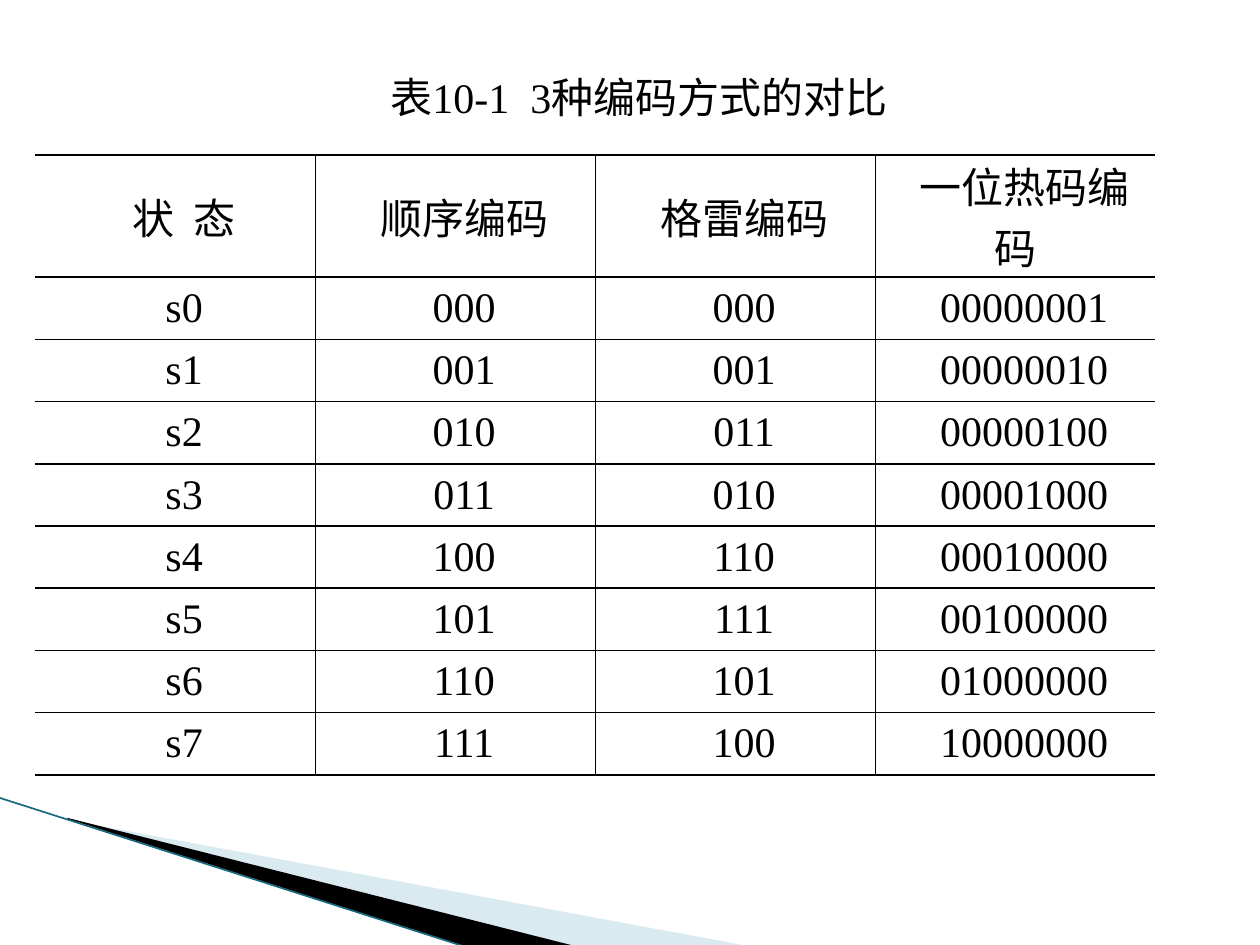
from pptx import Presentation
from pptx import util as u
from pptx.dml.color import RGBColor
from pptx.enum import shapes, text
from pptx.oxml.ns import qn
from lxml import etree

COLORS = {"ink": "000000", "pale": "A0CBDC", "edge": "16697F"}
FONT = {"name": "Times New Roman", "size": u.Pt(24), "bold": False}
TITLE = "表10-1  3种编码方式的对比"
HEADERS = ["状  态", "顺序编码", "格雷编码", "一位热码编码"]
STATES = 8
HEADER_HEIGHT = 0.97
THIN, THICK = 1, 1.5


def color(name):
    return RGBColor.from_string(COLORS[name])


def apply(target, values):
    for name, value in values.items():
        setattr(target, name, value)


def write(frame, words):
    """Centred line in the common font, with a first-line indent."""
    para = frame.paragraphs[0]
    para.alignment = text.PP_ALIGN.CENTER
    properties = para._p.get_or_add_pPr()
    properties.set("marL", "0")
    properties.set("indent", str(u.Inches(0.14)))
    span = para.add_run()
    span.text = words
    apply(span.font, FONT)
    span.font.color.rgb = color("ink")


def add_wedge(page, points, fill, alpha=None):
    corners = [(u.Inches(x), u.Inches(y)) for x, y in points]
    builder = page.shapes.build_freeform(*corners[0], scale=1.0)
    builder.add_line_segments(corners[1:], close=True)
    wedge = builder.convert_to_shape()
    wedge.shadow.inherit = False
    wedge.line.fill.background()
    wedge.fill.solid()
    wedge.fill.fore_color.rgb = color(fill)
    if alpha:
        tint = wedge._element.spPr.find(".//" + qn("a:srgbClr"))
        etree.SubElement(tint, qn("a:alpha"), val=str(alpha * 1000))


def add_corner(page, left, top):
    """Pale and black wedges with an edge line, from the given point."""
    pale = [(0.56, 0.18), (5.96, 1.18), (4.57, 1.18), (0.56, 0.17)]
    dark = [(0.54, 0.16), (4.58, 1.18), (3.73, 1.19), (0.55, 0.17)]
    for points, fill, alpha in ((pale, "pale", 40), (dark, "ink", None)):
        add_wedge(page, [(left + x, top + y) for x, y in points], fill, alpha)
    ends = (left, top, left + 3.72, top + 1.19)
    edge = page.shapes.add_connector(shapes.MSO_CONNECTOR.STRAIGHT, *map(u.Inches, ends))
    edge.line.color.rgb = color("edge")
    edge.line.width = u.Pt(0.95)
    etree.SubElement(edge._element.spPr, qn("a:effectLst"))


def set_border(cell, side, width):
    """Draw one side of a cell; no width means no line."""
    properties = cell._tc.get_or_add_tcPr()
    line = etree.SubElement(properties, qn("a:ln" + side), w=str(u.Pt(width)))
    if width:
        fill = etree.SubElement(line, qn("a:solidFill"))
        etree.SubElement(fill, qn("a:srgbClr"), val=COLORS["ink"])
    else:
        etree.SubElement(line, qn("a:noFill"))


def code_rows():
    """Sequential, Gray and one-hot code of each state."""
    return [[f"s{n}", f"{n:03b}", f"{n ^ n >> 1:03b}", f"{1 << n:08b}"]
            for n in range(STATES)]


def add_codes(page, left, top, width, height):
    rows = [HEADERS] + code_rows()
    last_row, last_col = len(rows) - 1, len(HEADERS) - 1
    box = map(u.Inches, (left, top, width, height))
    table = page.shapes.add_table(len(rows), len(HEADERS), *box).table
    apply(table, {"first_row": False, "horz_banding": False})
    code_height = (height - HEADER_HEIGHT) / STATES
    for r, row in enumerate(table.rows):
        row.height = u.Inches(code_height if r else HEADER_HEIGHT)
    margins = {"margin_left": u.Inches(0.05), "margin_right": u.Inches(0.05),
               "margin_top": 0, "margin_bottom": 0,
               "vertical_anchor": text.MSO_ANCHOR.MIDDLE}
    for r, values in enumerate(rows):
        for c, value in enumerate(values):
            cell = table.cell(r, c)
            write(cell.text_frame, value)
            apply(cell, margins)
            borders = {"L": THIN if c else 0,
                       "R": THIN if c < last_col else 0,
                       "T": THIN if r else THICK,
                       "B": THIN if r < last_row else THICK}
            for side, line_width in borders.items():
                set_border(cell, side, line_width)
            cell.fill.background()


def set_title(page, left, top, width, height):
    title = page.shapes.title
    box = map(u.Inches, (left, top, width, height))
    apply(title, dict(zip(("left", "top", "width", "height"), box)))
    apply(title.text_frame, {"word_wrap": False,
                             "auto_size": text.MSO_AUTO_SIZE.SHAPE_TO_FIT_TEXT,
                             "vertical_anchor": text.MSO_ANCHOR.MIDDLE})
    write(title.text_frame, TITLE)


def main():
    deck = Presentation()
    apply(deck, {"slide_width": u.Inches(10), "slide_height": u.Inches(7.5)})
    page = deck.slides.add_slide(deck.slide_layouts[5])
    # Corner decoration
    add_corner(page, -0.01, 6.33)
    # Code table
    add_codes(page, 0.28, 1.23, 8.89, 4.92)
    # Caption
    set_title(page, 0, 0.52, 10, 0.5)
    deck.save("out.pptx")


if __name__ == "__main__":
    main()
